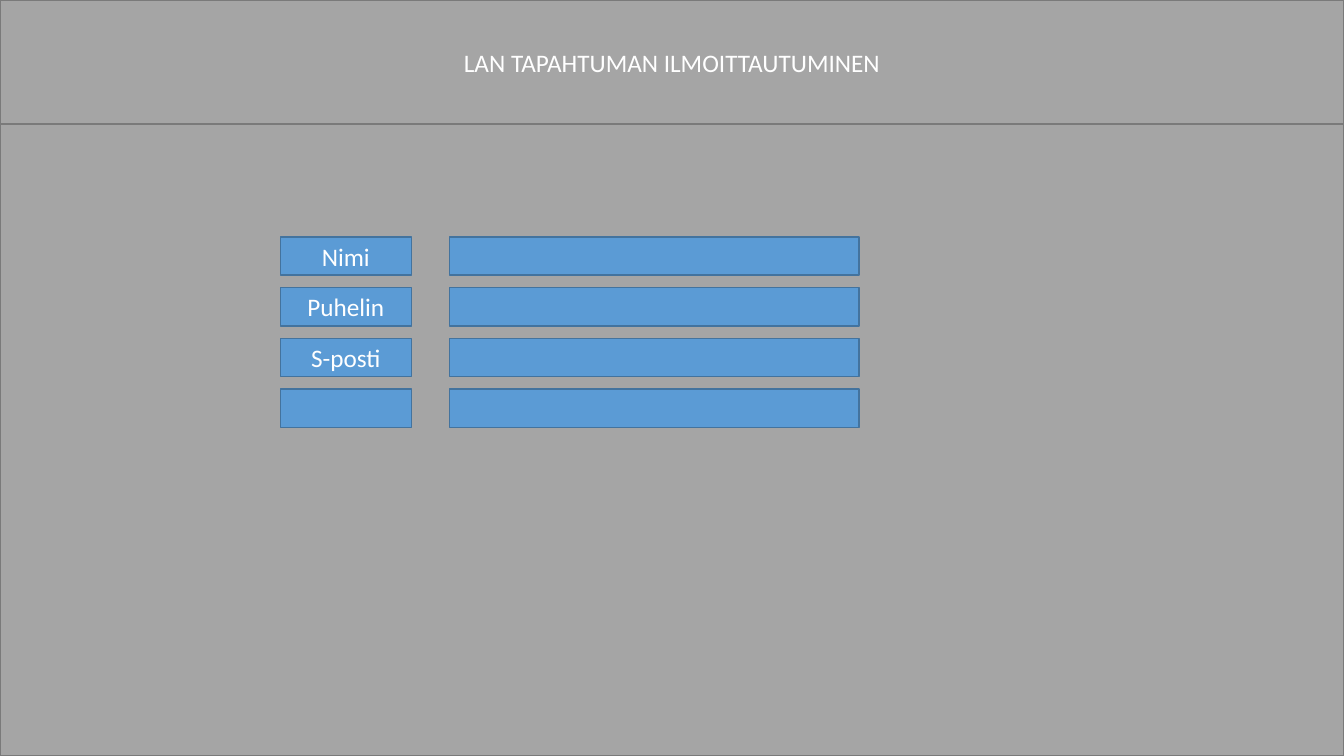
"""Build the LAN event registration form slide."""
from pptx import Presentation
from pptx import util as u
from pptx.dml.color import RGBColor
from pptx.enum import shapes, text

COLOURS = {"panel": "A5A5A5", "panel_line": "7A7A7A",
           "field": "5B9BD5", "field_line": "43739E", "text": "FFFFFF"}
WIDTH, HEIGHT = 13.33, 7.5
HEADER_HEIGHT = 1.23
LABELS = ["Nimi", "Puhelin", "S-posti", ""]
FORM_TOP, ROW_PITCH, ROW_HEIGHT = 2.35, 0.503, 0.38
LABEL_COLUMN = (2.78, 1.3)
INPUT_COLUMN = (4.46, 4.06)


def write(shape, content, size=18, font="Calibri", colour="text"):
    """Write one centred line of text in a shape."""
    tf = shape.text_frame
    tf.word_wrap = True
    tf.vertical_anchor = text.MSO_ANCHOR.MIDDLE
    p = tf.paragraphs[0]
    p.alignment = text.PP_ALIGN.CENTER
    r = p.add_run()
    r.text = content
    r.font.size = u.Pt(size)
    r.font.name = font
    r.font.color.rgb = RGBColor.from_string(COLOURS[colour])


def add_box(s, left, top, width, height, style, content=""):
    """Add an outlined rectangle with optional text."""
    sp = s.shapes.add_shape(shapes.MSO_SHAPE.RECTANGLE,
                            *map(u.Inches, (left, top, width, height)))
    sp.shadow.inherit = False
    sp.fill.solid()
    sp.fill.fore_color.rgb = RGBColor.from_string(COLOURS[style])
    sp.line.color.rgb = RGBColor.from_string(COLOURS[style + "_line"])
    sp.line.width = u.Pt(1)
    if content:
        write(sp, content)


def add_column(s, column, labels):
    """Add a column of equally spaced form boxes."""
    left, width = column
    for row, label in enumerate(labels):
        add_box(s, left, FORM_TOP + row * ROW_PITCH, width, ROW_HEIGHT,
                "field", label)


def main():
    """Build and save the slide."""
    prs = Presentation()
    prs.slide_width, prs.slide_height = u.Inches(WIDTH), u.Inches(HEIGHT)
    s = prs.slides.add_slide(prs.slide_layouts[6])
    add_box(s, 0, 0, WIDTH, HEADER_HEIGHT, "panel",
            "LAN TAPAHTUMAN ILMOITTAUTUMINEN")
    add_box(s, 0, HEADER_HEIGHT, WIDTH, HEIGHT - HEADER_HEIGHT, "panel")
    add_column(s, INPUT_COLUMN, [""] * len(LABELS))
    add_column(s, LABEL_COLUMN, LABELS)
    prs.save("out.pptx")


main()
